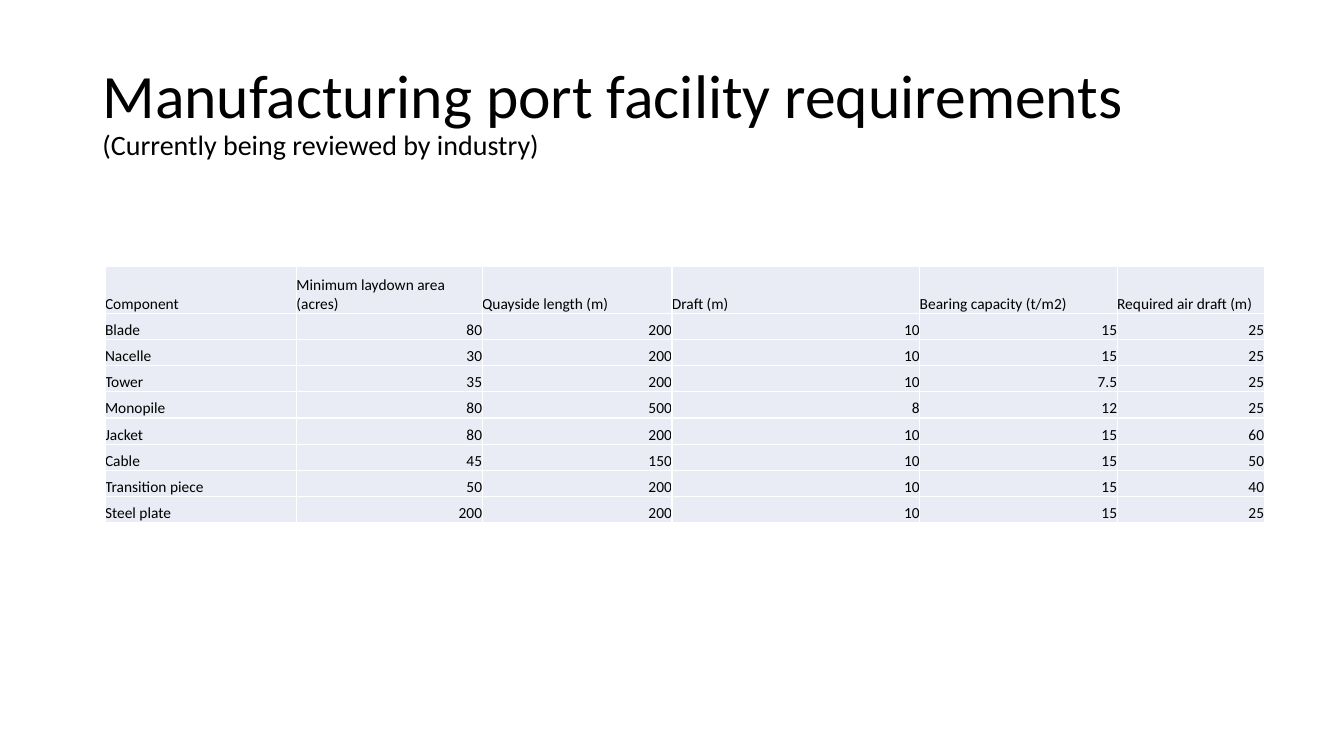
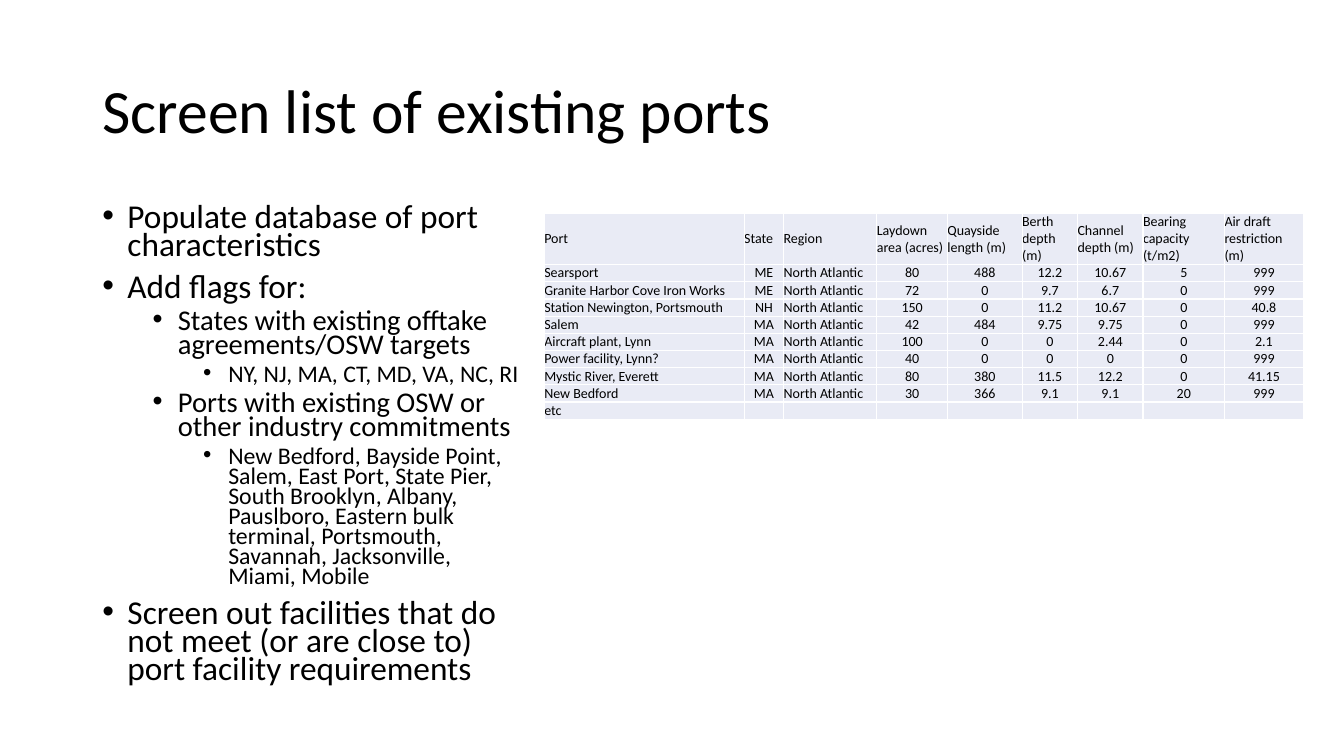
from dataclasses import dataclass

from lxml import etree
from pptx import Presentation
from pptx import util as u
from pptx.dml.color import RGBColor
from pptx.enum import text
from pptx.oxml import ns


@dataclass(frozen=True)
class Theme:
    font: str = "Calibri"
    ink: str = "000000"
    cell: str = "E9EBF5"
    rule: str = "FFFFFF"
    rule_width: float = 1
    title: float = 44
    subtitle: float = 20
    bullets: tuple = (23.8, 20.4, 17)
    columns: int = 160
    rows: int = 90


THEME = Theme()
ALIGN = text.PP_ALIGN
ANCHOR = text.MSO_ANCHOR


def write(para, words, size, align=ALIGN.LEFT, line=None, before=None):
    """Add words to a paragraph in the theme's type."""
    para.alignment = align
    if line is not None:
        para.line_spacing = line
    if before is not None:
        para.space_before = u.Pt(before)
    span = para.add_run()
    span.text = words
    span.font.name = THEME.font
    span.font.size = u.Pt(size)
    span.font.color.rgb = RGBColor.from_string(THEME.ink)


def add_bullet(para, level):
    """Hang a round bullet a quarter inch before the text."""
    props = para._p.get_or_add_pPr()
    props.set("marL", str(u.Inches(0.25 + 0.5 * level)))
    props.set("indent", str(-u.Inches(0.25)))
    etree.SubElement(props, ns.qn("a:buFont"), typeface="Arial")
    etree.SubElement(props, ns.qn("a:buChar"), char="•")


def add_borders(cell):
    """Rule all four sides of a cell."""
    props = cell._tc.get_or_add_tcPr()
    for index, side in enumerate(("lnL", "lnR", "lnT", "lnB")):
        border = etree.Element(ns.qn(f"a:{side}"), w=str(u.Pt(THEME.rule_width)))
        fill = etree.SubElement(border, ns.qn("a:solidFill"))
        etree.SubElement(fill, ns.qn("a:srgbClr"), val=THEME.rule)
        props.insert(index, border)


class Slides:
    """A deck, its current slide and the grid that places elements on it."""

    def __init__(self):
        self.deck = Presentation()
        self.deck.slide_width = u.Inches(13.333)
        self.deck.slide_height = u.Inches(7.5)
        self.page = None

    def x(self, columns):
        return round(self.deck.slide_width * columns / THEME.columns)

    def y(self, rows):
        return round(self.deck.slide_height * rows / THEME.rows)

    def area(self, left, top, width, height):
        return self.x(left), self.y(top), self.x(width), self.y(height)

    def start(self, title, subtitle=None):
        """Open a title-only slide."""
        self.page = self.deck.slides.add_slide(self.deck.slide_layouts[5])
        box = self.page.shapes.title
        box.left, box.top, box.width, box.height = self.area(11, 4.8, 138, 17.4)
        frame = box.text_frame
        frame.word_wrap = True
        frame.auto_size = text.MSO_AUTO_SIZE.NONE
        frame.vertical_anchor = ANCHOR.MIDDLE
        para = frame.paragraphs[0]
        write(para, title, THEME.title, line=0.9)
        if subtitle:
            para.add_line_break()
            write(para, subtitle, THEME.subtitle, line=0.9)

    def table(self, left, top, widths, heights, data, size, anchor, align, left_columns):
        """Add a table; headings and left_columns are left-aligned."""
        grid = self.page.shapes.add_table(
            len(data), len(widths), *self.area(left, top, sum(widths), sum(heights))
        ).table
        grid.first_row = grid.horz_banding = False
        for column, width in zip(grid.columns, widths):
            column.width = self.x(width)
        for row, height in zip(grid.rows, heights):
            row.height = self.y(height)
        for r, values in enumerate(data):
            for c, value in enumerate(values):
                cell = grid.cell(r, c)
                cell.margin_left = cell.margin_right = 0
                cell.margin_top = cell.margin_bottom = 0
                cell.vertical_anchor = anchor
                cell.fill.solid()
                cell.fill.fore_color.rgb = RGBColor.from_string(THEME.cell)
                add_borders(cell)
                para = cell.text_frame.paragraphs[0]
                if value:
                    is_left = r == 0 or c in left_columns
                    write(para, value, size, align=ALIGN.LEFT if is_left else align)
                else:
                    # An empty cell keeps the row's type size
                    etree.SubElement(para._p, ns.qn("a:endParaRPr"), sz=str(size * 100))

    def bullets(self, left, top, width, height, items):
        """Add a bulleted list of (level, words)."""
        frame = self.page.shapes.add_textbox(*self.area(left, top, width, height)).text_frame
        frame.word_wrap = True
        for index, (level, words) in enumerate(items):
            para = frame.add_paragraph() if index else frame.paragraphs[0]
            para.level = level
            write(para, words, THEME.bullets[level], line=0.7, before=5 if level else 10)
            add_bullet(para, level)


REQUIREMENTS = [
    ("Component", "Minimum laydown area (acres)", "Quayside length (m)", "Draft (m)",
     "Bearing capacity (t/m2)", "Required air draft (m)"),
    ("Blade", "80", "200", "10", "15", "25"),
    ("Nacelle", "30", "200", "10", "15", "25"),
    ("Tower", "35", "200", "10", "7.5", "25"),
    ("Monopile", "80", "500", "8", "12", "25"),
    ("Jacket", "80", "200", "10", "15", "60"),
    ("Cable", "45", "150", "10", "15", "50"),
    ("Transition piece", "50", "200", "10", "15", "40"),
    ("Steel plate", "200", "200", "10", "15", "25"),
]

REGION = "North Atlantic"
PORTS = [
    ("Port", "State", "Region", "Laydown area (acres)", "Quayside length (m)",
     "Berth depth (m)", "Channel depth (m)", "Bearing capacity (t/m2)",
     "Air draft restriction (m)"),
    ("Searsport", "ME", REGION, "80", "488", "12.2", "10.67", "5", "999"),
    ("Granite Harbor Cove Iron Works", "ME", REGION, "72", "0", "9.7", "6.7", "0", "999"),
    ("Station Newington, Portsmouth", "NH", REGION, "150", "0", "11.2", "10.67", "0", "40.8"),
    ("Salem", "MA", REGION, "42", "484", "9.75", "9.75", "0", "999"),
    ("Aircraft plant, Lynn", "MA", REGION, "100", "0", "0", "2.44", "0", "2.1"),
    ("Power facility, Lynn?", "MA", REGION, "40", "0", "0", "0", "0", "999"),
    ("Mystic River, Everett", "MA", REGION, "80", "380", "11.5", "12.2", "0", "41.15"),
    ("New Bedford", "MA", REGION, "30", "366", "9.1", "9.1", "20", "999"),
    ("etc",) + ("",) * 8,
]

SCREENING = [
    (0, "Populate database of port characteristics"),
    (0, "Add flags for:"),
    (1, "States with existing offtake agreements/OSW targets"),
    (2, "NY, NJ, MA, CT, MD, VA, NC, RI"),
    (1, "Ports with existing OSW or other industry commitments"),
    (2, "New Bedford, Bayside Point, Salem, East Port, State Pier, South Brooklyn, "
        "Albany, Pauslboro, Eastern bulk terminal, Portsmouth, Savannah, Jacksonville, "
        "Miami, Mobile"),
    (0, "Screen out facilities that do not meet (or are close to) port facility requirements"),
]


def main():
    slides = Slides()

    # Requirements by component
    slides.start("Manufacturing port facility requirements",
                 "(Currently being reviewed by industry)")
    slides.table(12.5, 31.7, (22.8, 22.1, 22.6, 29.5, 23.5, 17.5), [5.6] + [3.12] * 8,
                 REQUIREMENTS, size=11, anchor=ANCHOR.BOTTOM, align=ALIGN.RIGHT,
                 left_columns=(0,))

    # Existing ports and how they are screened
    slides.start("Screen list of existing ports")
    slides.table(64.8, 25.4, (23.8, 4.7, 11.1, 8.4, 8.9, 6.6, 7.8, 9.7, 9.4),
                 [6.1] + [2.05] * 9, PORTS, size=10, anchor=ANCHOR.MIDDLE,
                 align=ALIGN.CENTER, left_columns=(0, 2))
    slides.bullets(11, 24, 52, 61.2, SCREENING)

    slides.deck.save("out.pptx")


if __name__ == "__main__":
    main()
